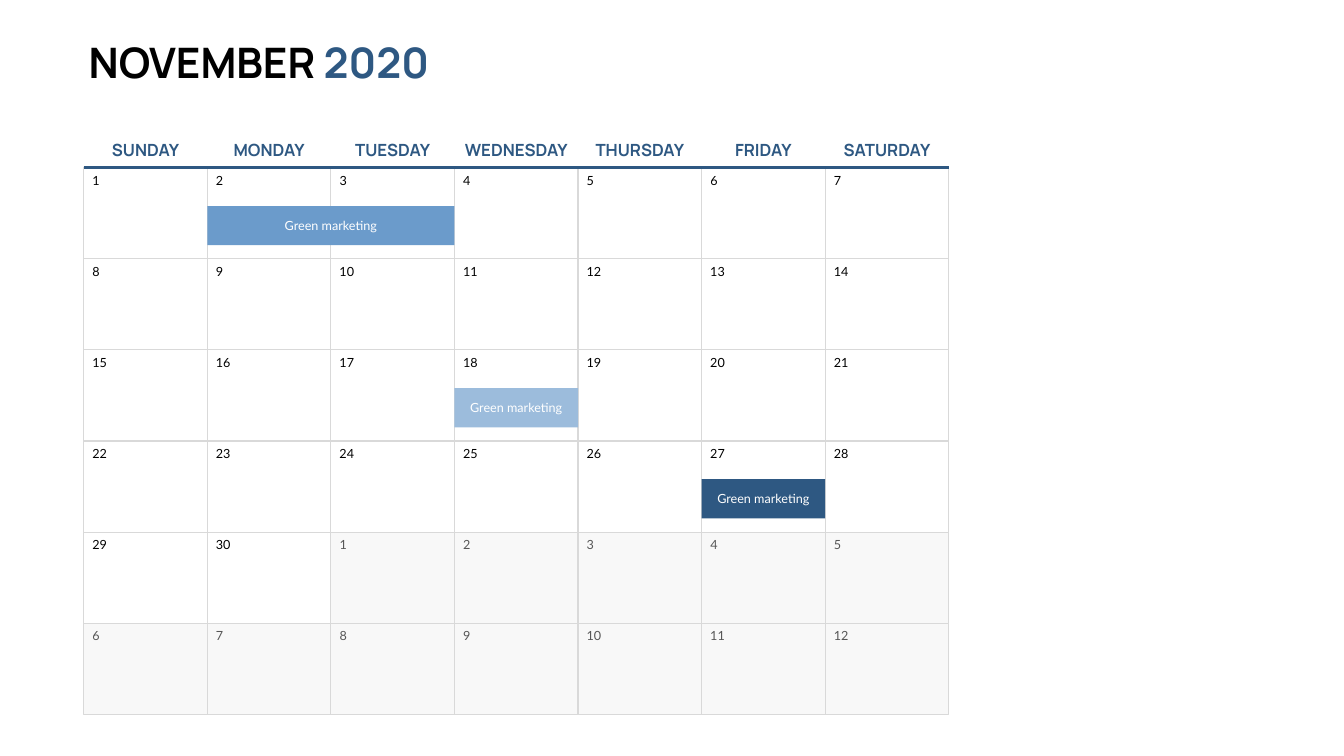
import dataclasses

import pptx
import pptx.dml.color
import pptx.enum.shapes
import pptx.enum.text
import pptx.oxml.ns
import pptx.util
from lxml import etree

ALIGN = pptx.enum.text.PP_ALIGN
ANCHOR = pptx.enum.text.MSO_ANCHOR
RECTANGLE = pptx.enum.shapes.MSO_SHAPE.RECTANGLE

WEEKDAYS = [("SUNDAY", 1.62), ("MONDAY", 1.75), ("TUESDAY", 1.75), ("WEDNESDAY", 2.35),
            ("THURSDAY", 2.03), ("FRIDAY", 1.43), ("SATURDAY", 2.03)]
DAYS_IN_MONTH = 30
WEEKS = 6


@dataclasses.dataclass(frozen=True)
class Theme:
    heading_font: str = "Manrope"
    body_font: str = "Lato"
    ink: str = "000000"
    muted: str = "565656"
    white: str = "FFFFFF"
    grid: str = "D9D9D9"
    outside: str = "F2F2F2"
    navy: str = "2E5882"
    blue: str = "6B9BCB"
    sky: str = "9CBCDC"
    title_size: int = 60
    weekday_size: int = 24
    body_size: int = 18


def color(code):
    return pptx.dml.color.RGBColor.from_string(code)


def inches(*lengths):
    return [pptx.util.Inches(length) for length in lengths]


def write(box, *texts, font, size, colors, bold=False, align=ALIGN.LEFT,
          anchor=ANCHOR.TOP, wrap=False):
    """Fill a box with one paragraph, one span for each text and its color."""
    frame = box.text_frame
    frame.word_wrap = wrap
    frame.auto_size = pptx.enum.text.MSO_AUTO_SIZE.SHAPE_TO_FIT_TEXT
    frame.vertical_anchor = anchor
    para = frame.paragraphs[0]
    para.alignment = align
    for text, code in zip(texts, colors):
        span = para.add_run()
        span.text = text
        span.font.name = font
        span.font.size = pptx.util.Pt(size)
        span.font.bold = bold
        span.font.color.rgb = color(code)


class Calendar:
    """Draws on a grid of seven day columns and six week rows."""
    left, top = 1.66, 3.33
    column = 17.16 / len(WEEKDAYS)
    row = 10.84 / WEEKS

    def __init__(self, slide, theme):
        self.slide = slide
        self.theme = theme

    def x(self, column):
        return self.left + column * self.column

    def y(self, row):
        return self.top + row * self.row

    def rectangle(self, shapes, column, row, columns, rows, fill):
        box = shapes.add_shape(RECTANGLE, *inches(
            self.x(column), self.y(row), columns * self.column, rows * self.row))
        box.shadow.inherit = False
        box.fill.solid()
        box.fill.fore_color.rgb = color(fill)
        box.line.fill.background()
        return box

    def title(self, month, year):
        box = self.slide.shapes.add_textbox(*inches(self.left, 0.67, 7.13, 1.11))
        write(box, month, year, font=self.theme.heading_font, size=self.theme.title_size,
              colors=[self.theme.ink, self.theme.navy], bold=True)

    def weekday(self, column, name, width):
        box = self.slide.shapes.add_textbox(*inches(
            self.x(column + 0.5) - width / 2, 2.72, width, 0.5))
        write(box, name, font=self.theme.heading_font, size=self.theme.weekday_size,
              colors=[self.theme.navy], bold=True, align=ALIGN.CENTER, anchor=ANCHOR.MIDDLE)

    def day(self, column, row, number, in_month):
        theme = self.theme
        cell = self.rectangle(self.slide.shapes, column, row, 1, 1,
                              theme.white if in_month else theme.outside)
        cell.line.color.rgb = color(theme.grid)
        cell.line.width = pptx.util.Pt(1.5)
        if not in_month:
            self.make_half_transparent(cell)
        label = str(number)
        box = self.slide.shapes.add_textbox(*inches(
            self.x(column + 0.03), self.y(row + 0.03), 0.2 + 0.15 * len(label), 0.4))
        write(box, label, font=theme.body_font, size=theme.body_size,
              colors=[theme.ink if in_month else theme.muted], anchor=ANCHOR.MIDDLE)

    @staticmethod
    def make_half_transparent(cell):
        qn = pptx.oxml.ns.qn
        fill = cell.fill.fore_color
        fill_element = cell._element.spPr.find(qn("a:solidFill"))
        etree.SubElement(fill_element.find(qn("a:srgbClr")), qn("a:alpha"), val="50000")
        return fill

    def header_rule(self):
        line = self.slide.shapes.add_connector(
            pptx.enum.shapes.MSO_CONNECTOR.STRAIGHT,
            *inches(self.x(0), self.y(0), self.x(len(WEEKDAYS)), self.y(0)))
        line.line.color.rgb = color(self.theme.navy)
        line.line.width = pptx.util.Pt(4.5)
        etree.SubElement(line._element.spPr, pptx.oxml.ns.qn("a:effectLst"))

    def event(self, text, first_day, days, fill):
        row, column = divmod(first_day - 1, len(WEEKDAYS))
        group = self.slide.shapes.add_group_shape()
        self.rectangle(group.shapes, column, row + 0.42, days, 0.43, fill)
        label = group.shapes.add_textbox(*inches(
            self.x(column + 0.05 * days), self.y(row + 0.525), 0.9 * days * self.column, 0.4))
        write(label, text, font=self.theme.body_font, size=self.theme.body_size,
              colors=[self.theme.white], align=ALIGN.CENTER, wrap=True)


def main():
    deck = pptx.Presentation()
    deck.slide_width, deck.slide_height = inches(26.66, 15)
    theme = Theme()
    page = Calendar(deck.slides.add_slide(deck.slide_layouts[6]), theme)

    page.title("NOVEMBER ", "2020")
    for index in range(WEEKS * len(WEEKDAYS)):
        row, column = divmod(index, len(WEEKDAYS))
        page.day(column, row, index % DAYS_IN_MONTH + 1, index < DAYS_IN_MONTH)
    for column, (name, width) in enumerate(WEEKDAYS):
        page.weekday(column, name, width)
    page.header_rule()
    for first_day, days, fill in [(2, 2, theme.blue), (18, 1, theme.sky), (27, 1, theme.navy)]:
        page.event("Green marketing", first_day, days, fill)

    deck.save("out.pptx")


if __name__ == "__main__":
    main()
